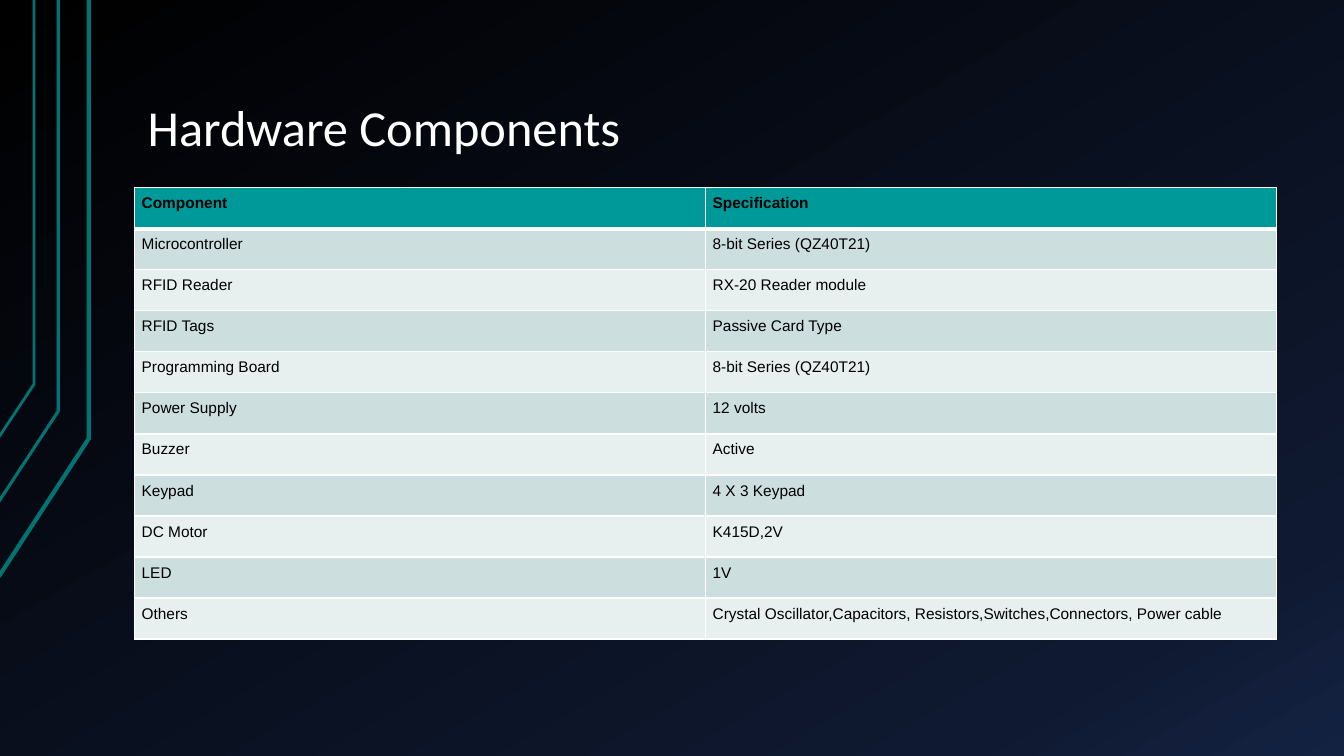
"""Build the hardware components slide with its specification table."""
from copy import deepcopy

from lxml import etree
from pptx import Presentation
from pptx import util as u
from pptx.dml.color import RGBColor
from pptx.enum import text
from pptx.oxml import ns

WHITE = RGBColor(0xFF, 0xFF, 0xFF)
BLACK = RGBColor(0x00, 0x00, 0x00)
NAVY = RGBColor(0x0F, 0x19, 0x31)
BLUE = RGBColor(0x14, 0x22, 0x42)
TEAL_LINE = RGBColor(0x00, 0x73, 0x73)
TEAL = RGBColor(0x00, 0x99, 0x99)
BAND_DARK = RGBColor(0xCC, 0xDE, 0xDE)
BAND_LIGHT = RGBColor(0xE7, 0xEF, 0xEF)

BACKGROUND_STOPS = [(0, BLACK), (0.85, NAVY), (1, BLUE)]
CIRCUIT_LINES = [
    (3, [(-0.03, 14.53), (2.24, 11.05), (2.24, 0)]),
    (2.25, [(-0.05, 12.67), (1.47, 10.36), (1.47, 0)]),
    (2, [(-0.03, 11.02), (0.86, 9.68), (0.86, 0)]),
]
COMPONENTS = [
    ("Component", "Specification"),
    ("Microcontroller", "8-bit Series (QZ40T21)"),
    ("RFID Reader", "RX-20 Reader module"),
    ("RFID Tags", "Passive Card Type"),
    ("Programming Board", "8-bit Series (QZ40T21)"),
    ("Power Supply", "12 volts"),
    ("Buzzer", "Active"),
    ("Keypad", "4 X 3 Keypad"),
    ("DC Motor", "K415D,2V"),
    ("LED", "1V"),
    ("Others", "Crystal Oscillator,Capacitors, Resistors,Switches,Connectors, Power cable"),
]

TITLE_PLACE = {"left": u.Cm(3.39), "top": u.Cm(0.76),
               "width": u.Cm(28.78), "height": u.Cm(3.4)}
TITLE_FRAME = {"margin_left": u.Cm(0.33), "margin_right": u.Cm(0.33),
               "margin_top": u.Cm(0.18), "margin_bottom": u.Cm(0.18),
               "vertical_anchor": text.MSO_ANCHOR.BOTTOM, "word_wrap": True,
               "auto_size": text.MSO_AUTO_SIZE.NONE}
TITLE_FONT = {"name": "Calibri", "size": u.Pt(36)}
CELL_FORMAT = {f"margin_{side}": u.Cm(0.18) for side in ("left", "right", "top", "bottom")}
CELL_FONT = {"name": "Arial", "size": u.Pt(11)}


def apply(target, values):
    """Set every attribute named in values on the target."""
    for name, value in values.items():
        setattr(target, name, value)


def write(para, wording, font, color):
    """Add one formatted run to a paragraph."""
    para.alignment = text.PP_ALIGN.LEFT
    span = para.add_run()
    span.text = wording
    apply(span.font, font)
    span.font.color.rgb = color


def paint_background(page):
    """Fill the page with the diagonal dark gradient."""
    fill = page.background.fill
    fill.gradient()
    fill.gradient_angle = 300
    stop_list = page.element.find(".//" + ns.qn("a:gsLst"))
    stop_list.append(deepcopy(stop_list[-1]))
    for stop, (position, color) in zip(fill.gradient_stops, BACKGROUND_STOPS):
        stop.position = position
        stop.color.rgb = color


def add_circuit_line(page, weight, points):
    """Draw one bent line at the left edge."""
    start, *rest = [(u.Cm(x), u.Cm(y)) for x, y in points]
    builder = page.shapes.build_freeform(*start)
    builder.add_line_segments(rest, close=False)
    outline = builder.convert_to_shape()
    outline.shadow.inherit = False
    outline.fill.background()
    outline.line.color.rgb = TEAL_LINE
    outline.line.width = u.Pt(weight)


def add_title(page, wording):
    """Move and format the title placeholder."""
    box = page.shapes.title
    apply(box, TITLE_PLACE)
    apply(box.text_frame, TITLE_FRAME)
    para = box.text_frame.paragraphs[0]
    para.line_spacing = 0.9
    write(para, wording, TITLE_FONT, WHITE)


def add_borders(cell, bottom_weight):
    """Give a cell white borders on its four sides."""
    properties = cell._tc.get_or_add_tcPr()
    for index, side in enumerate("LRTB"):
        weight = bottom_weight if side == "B" else 1
        border = etree.Element(ns.qn(f"a:ln{side}"), w=str(u.Pt(weight)))
        fill = etree.SubElement(border, ns.qn("a:solidFill"))
        etree.SubElement(fill, ns.qn("a:srgbClr"), val=str(WHITE))
        properties.insert(index, border)


def add_component_table(page, rows):
    """Add the banded table with a header row."""
    table = page.shapes.add_table(len(rows), len(rows[0]), u.Cm(3.39), u.Cm(4.73),
                                  u.Cm(28.78), u.Cm(11.38)).table
    for row_index, row in enumerate(rows):
        header = row_index == 0
        band = TEAL if header else BAND_DARK if row_index % 2 else BAND_LIGHT
        for column_index, wording in enumerate(row):
            cell = table.cell(row_index, column_index)
            apply(cell, CELL_FORMAT)
            cell.fill.solid()
            cell.fill.fore_color.rgb = band
            add_borders(cell, 3 if header else 1)
            write(cell.text_frame.paragraphs[0], wording, {**CELL_FONT, "bold": header}, BLACK)


def main():
    """Assemble and save the deck."""
    deck = Presentation()
    apply(deck, {"slide_width": u.Cm(33.87), "slide_height": u.Cm(19.05)})
    page = deck.slides.add_slide(deck.slide_layouts[5])
    paint_background(page)
    for weight, points in CIRCUIT_LINES:
        add_circuit_line(page, weight, points)
    add_title(page, "Hardware Components")
    add_component_table(page, COMPONENTS)
    deck.save("out.pptx")


if __name__ == "__main__":
    main()
